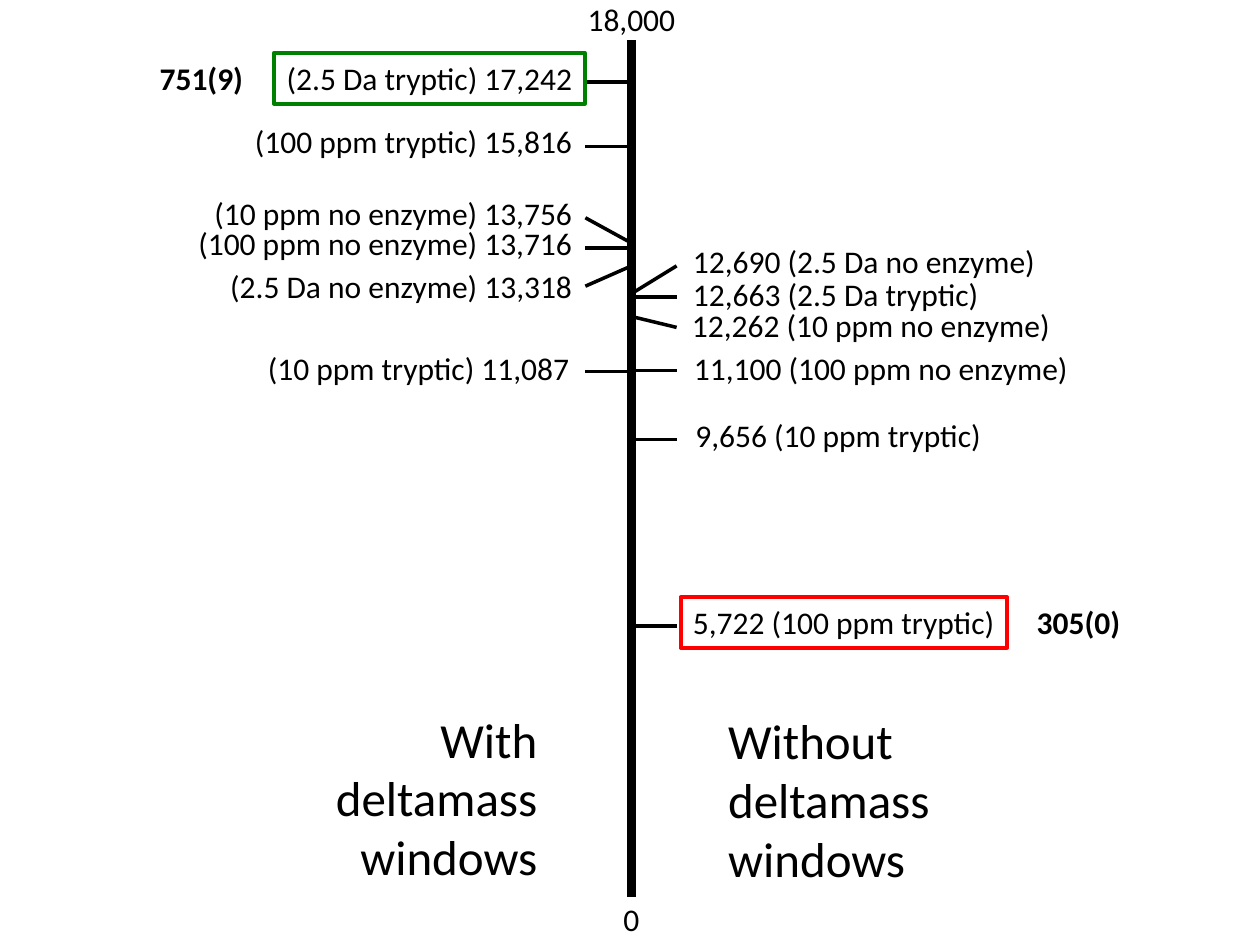
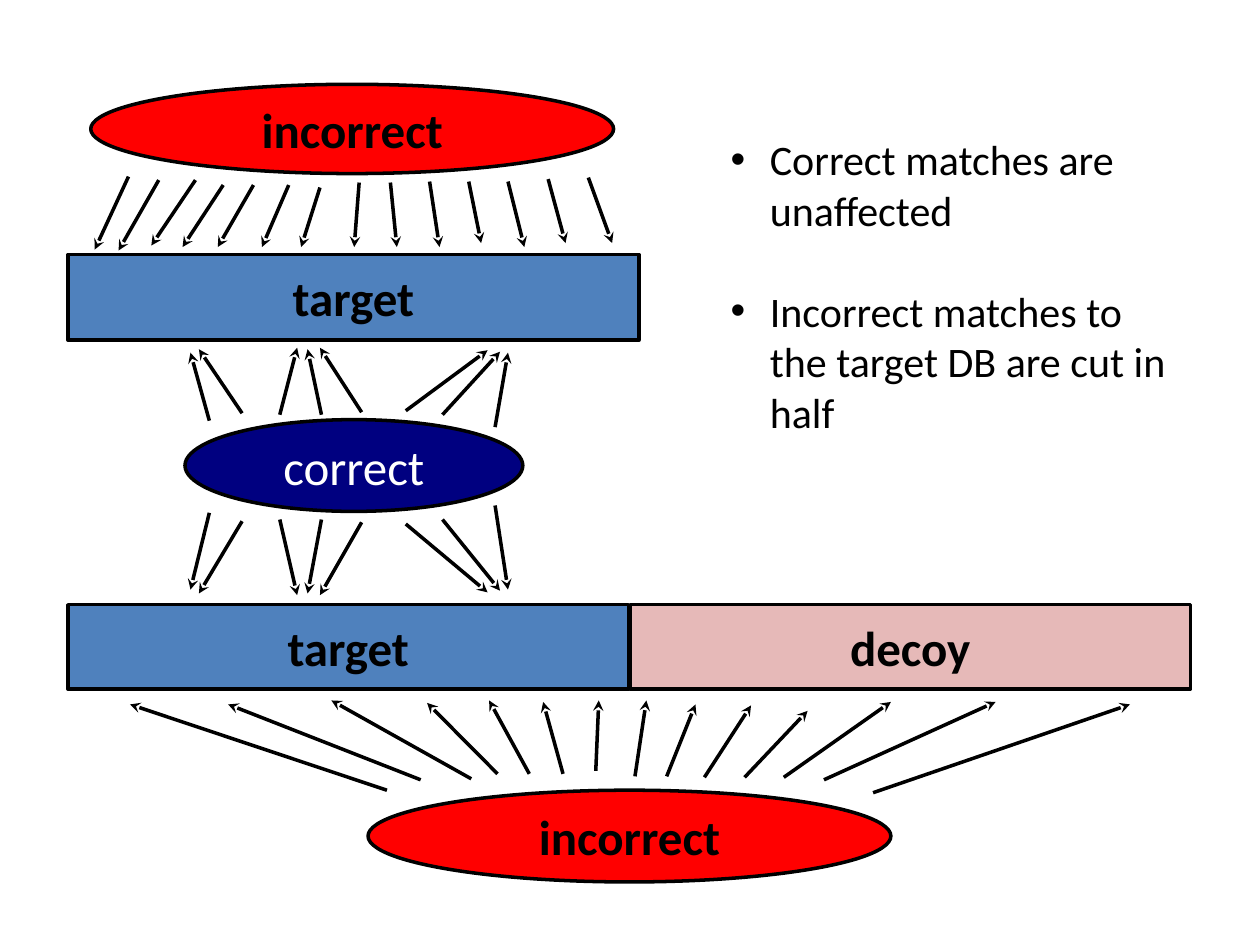
from pptx import Presentation
from pptx.dml.color import RGBColor
from pptx.enum.shapes import MSO_CONNECTOR, MSO_SHAPE
from pptx.enum.text import MSO_ANCHOR, MSO_AUTO_SIZE, PP_ALIGN
from pptx.oxml.ns import qn
from pptx.util import Cm, Pt
from lxml.etree import SubElement

FONT = "Calibri"
BLACK, WHITE = "000000", "FFFFFF"
RED, GREEN, NAVY = "FF0000", "008000", "000080"
BLUE, PINK = "4F81BD", "E6B9B8"
LEFT, CENTER, RIGHT = PP_ALIGN.LEFT, PP_ALIGN.CENTER, PP_ALIGN.RIGHT

AXIS_X = 12.73
LABEL_HEIGHT = 1.02
COUNT_WIDTH = 2.35

# label, inner edge, top, width, tick y at label, tick y at axis, frame colour
WITH_WINDOWS = [
    ("(2.5 Da tryptic) 17,242", 11.79, 1.07, 6.27, 1.65, 1.65, GREEN),
    ("(100 ppm tryptic) 15,816", 11.79, 2.34, 6.91, 2.95, 2.95, None),
    ("(10 ppm no enzyme) 13,756", 11.79, 3.78, 7.72, 4.39, 4.9, None),
    ("(100 ppm no enzyme) 13,716", 11.79, 4.39, 8.05, 5, 5, None),
    ("(2.5 Da no enzyme) 13,318", 11.79, 5.26, 7.42, 5.77, 5.36, None),
    ("(10 ppm tryptic) 11,087", 11.73, 6.91, 6.58, 7.49, 7.49, None),
]
WITHOUT_WINDOWS = [
    ("12,690 (2.5 Da no enzyme)", 13.72, 4.75, 7.42, 5.36, 5.92, None),
    ("12,663 (2.5 Da tryptic)", 13.72, 5.41, 6.27, 5.99, 5.99, None),
    ("12,262 (10 ppm no enzyme)", 13.7, 6.05, 7.72, 6.6, 6.38, None),
    ("11,100 (100 ppm no enzyme)", 13.74, 6.91, 8.05, 7.47, 7.47, None),
    ("9,656 (10 ppm tryptic)", 13.77, 8.26, 6.4, 8.86, 8.86, None),
    ("5,722 (100 ppm tryptic)", 13.72, 12.04, 6.58, 12.62, 12.62, RED),
]

# Arrows: tip x, tip y, tail x, tail y
INCORRECT_TO_TARGET = [
    (1.91, 5.03, 2.59, 3.56), (2.39, 5.05, 3.2, 3.63),
    (3.05, 4.95, 3.94, 3.63), (3.68, 4.98, 4.5, 3.73),
    (4.39, 4.98, 5.11, 3.73), (5.28, 4.98, 5.82, 3.73),
    (6.07, 4.98, 6.45, 3.78), (7.14, 4.98, 7.24, 3.68),
    (8, 4.98, 7.87, 3.68), (8.86, 4.98, 8.66, 3.66),
    (9.7, 4.9, 9.45, 3.66), (10.57, 4.98, 10.24, 3.66),
    (11.4, 4.9, 11.05, 3.61), (12.34, 4.9, 11.86, 3.58),
]
CORRECT_TO_TARGET = [
    (3.84, 7.11, 4.22, 8.48), (4.01, 7.04, 4.88, 8.33),
    (5.99, 7.01, 5.64, 8.36), (6.2, 7.04, 6.48, 8.36),
    (6.45, 7.01, 7.29, 8.31), (9.83, 7.06, 8.18, 8.28),
    (10.08, 7.09, 8.92, 8.36), (10.24, 7.11, 9.98, 8.61),
]
INCORRECT_TO_BOTH = [
    (2.62, 14.2, 7.8, 15.93), (4.6, 14.2, 8.48, 15.72),
    (6.68, 14.12, 9.5, 15.7), (8.61, 14.17, 10.03, 15.6),
    (9.86, 14.12, 10.67, 15.6), (10.95, 14.15, 11.35, 15.6),
    (12.07, 14.12, 12.01, 15.54), (13.03, 14.12, 12.8, 15.65),
    (14.02, 14.2, 13.44, 15.65), (15.14, 14.22, 14.2, 15.67),
    (16.28, 14.33, 15.01, 15.67), (17.96, 14.15, 15.8, 15.67),
    (20.07, 14.15, 16.61, 15.72), (22.78, 14.2, 17.6, 15.98),
]


def rgb(color):
    return RGBColor.from_string(color)


def add_run(p, text, size, color=BLACK, bold=False):
    r = p.add_run()
    r.text = text
    r.font.name = FONT
    r.font.size = Pt(size)
    r.font.bold = bold
    r.font.color.rgb = rgb(color)


def add_line(shapes, x1, y1, x2, y2, width=2, arrow=False):
    """Draw a black line; an arrow has its head at the first point."""
    line = shapes.add_connector(MSO_CONNECTOR.STRAIGHT, Cm(x1), Cm(y1), Cm(x2), Cm(y2))
    line.line.color.rgb = rgb(BLACK)
    line.line.width = Pt(width)
    if arrow:
        SubElement(line._element.spPr.find(qn("a:ln")), qn("a:headEnd"), type="stealth")
    SubElement(line._element.spPr, qn("a:effectLst"))


def add_arrows(s, arrows):
    group = s.shapes.add_group_shape()
    for arrow in arrows:
        add_line(group.shapes, *arrow, arrow=True)


def add_box(s, kind, x, y, w, h, fill, line_color, line_width):
    sp = s.shapes.add_shape(kind, Cm(x), Cm(y), Cm(w), Cm(h))
    sp.shadow.inherit = False
    if fill:
        sp.fill.solid()
        sp.fill.fore_color.rgb = rgb(fill)
    else:
        sp.fill.background()
    sp.line.color.rgb = rgb(line_color)
    sp.line.width = Pt(line_width)
    return sp


def add_label(s, text, x, y, w, h=LABEL_HEIGHT, size=18, align=LEFT, bold=False, frame=None, wrap=False):
    if frame:
        sp = add_box(s, MSO_SHAPE.RECTANGLE, x, y, w, h, None, frame, 2.25)
    else:
        sp = s.shapes.add_textbox(Cm(x), Cm(y), Cm(w), Cm(h))
    tf = sp.text_frame
    tf.word_wrap = wrap
    tf.auto_size = MSO_AUTO_SIZE.SHAPE_TO_FIT_TEXT
    tf.vertical_anchor = MSO_ANCHOR.TOP
    p = tf.paragraphs[0]
    p.alignment = align
    add_run(p, text, size, bold=bold)


def add_node(s, kind, text, x, y, w, h, fill, color=BLACK, bold=True):
    """Draw a filled, outlined shape with a centred caption."""
    sp = add_box(s, kind, x, y, w, h, fill, BLACK, 2)
    tf = sp.text_frame
    tf.margin_left = tf.margin_right = tf.margin_top = tf.margin_bottom = 0
    tf.vertical_anchor = MSO_ANCHOR.MIDDLE
    p = tf.paragraphs[0]
    p.alignment = CENTER
    add_run(p, text, 28, color, bold)


def add_bullets(s, items, x, y, w, h, size, gap):
    tf = s.shapes.add_textbox(Cm(x), Cm(y), Cm(w), Cm(h)).text_frame
    tf.word_wrap = True
    for i, item in enumerate(items):
        p = tf.add_paragraph() if i else tf.paragraphs[0]
        if i:
            p.space_before = Pt(gap)
        pPr = p._p.get_or_add_pPr()
        indent = Cm(0.79)
        pPr.set("marL", str(indent))
        pPr.set("indent", str(-indent))
        SubElement(pPr, qn("a:buFont"), typeface="Arial")
        SubElement(pPr, qn("a:buChar"), char="•")
        add_run(p, item, size)


def build_scale(s):
    add_line(s.shapes, AXIS_X, 0.81, AXIS_X, 18.08, width=5)
    add_label(s, "18,000", 11.48, -0.13, 2.5, align=CENTER)
    add_label(s, "0", 12.23, 18.01, 1, align=CENTER)
    for labels, tick_x, align in ((WITH_WINDOWS, 11.8, RIGHT), (WITHOUT_WINDOWS, 13.64, LEFT)):
        for text, edge, top, width, label_y, axis_y, frame in labels:
            add_line(s.shapes, tick_x, label_y, AXIS_X, axis_y)
            left = edge - width if align == RIGHT else edge
            add_label(s, text, left, top, width, align=align, frame=frame)
    add_label(s, "751(9)", 2.97, 1.07, COUNT_WIDTH, bold=True)
    add_label(s, "305(0)", 20.65, 12.04, COUNT_WIDTH, bold=True)
    for text, x, y, align in (("With deltamass windows", 5.54, 14.17, RIGHT),
                              ("Without deltamass windows", 14.43, 14.2, LEFT)):
        add_label(s, text, x, y, 5.54, 3.81, 28, align, wrap=True)


def build_matches(s):
    rect, oval = MSO_SHAPE.RECTANGLE, MSO_SHAPE.OVAL
    add_node(s, rect, "target", 1.37, 5.13, 11.51, 1.73, BLUE)
    add_node(s, oval, "incorrect", 1.83, 1.7, 10.54, 1.8, RED)
    add_node(s, oval, "correct", 3.73, 8.46, 6.81, 1.85, NAVY, WHITE, False)
    add_node(s, rect, "decoy", 12.7, 12.19, 11.3, 1.7, PINK)
    add_node(s, rect, "target", 1.37, 12.19, 11.3, 1.7, BLUE)
    add_node(s, oval, "incorrect", 7.42, 15.93, 10.54, 1.85, RED)

    def mirrored(y):
        """Reflect a height to the lower side of the correct matches."""
        return 19.92 - 1.13 * y

    add_arrows(s, INCORRECT_TO_TARGET)
    add_arrows(s, CORRECT_TO_TARGET)
    add_arrows(s, [(x1, mirrored(y1), x2, mirrored(y2)) for x1, y1, x2, y2 in CORRECT_TO_TARGET])
    add_arrows(s, INCORRECT_TO_BOTH)
    add_bullets(s, ["Correct matches are unaffected",
                    "Incorrect matches to the target DB are cut in half"],
                14.48, 2.57, 9.3, 6.35, size=24, gap=29)


def main():
    prs = Presentation()
    prs.slide_width, prs.slide_height = Cm(25.4), Cm(19.05)
    for build in (build_scale, build_matches):
        build(prs.slides.add_slide(prs.slide_layouts[6]))
    prs.save("out.pptx")


if __name__ == "__main__":
    main()
